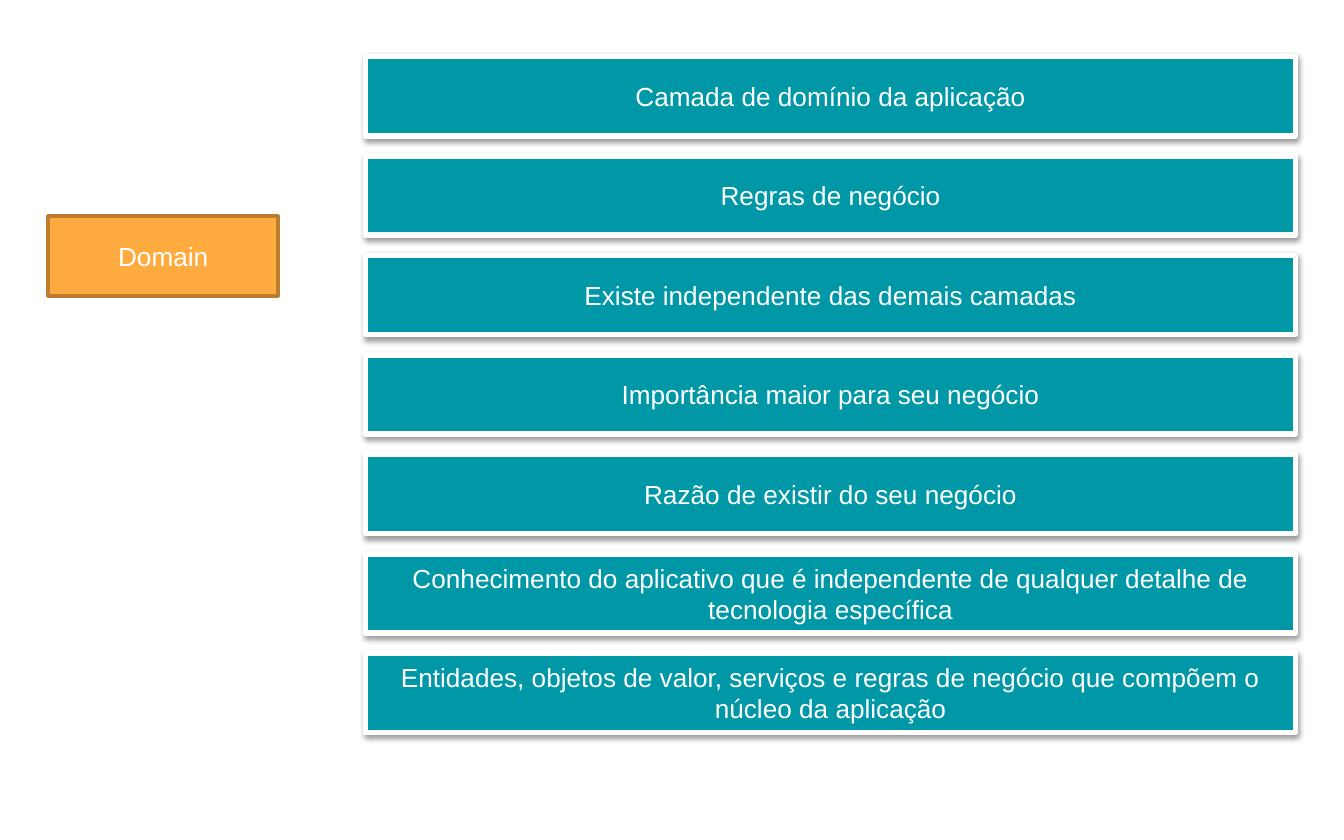
from lxml.etree import SubElement
from pptx import Presentation
from pptx.dml.color import RGBColor
from pptx.enum.shapes import MSO_SHAPE
from pptx.enum.text import MSO_ANCHOR, PP_ALIGN
from pptx.oxml.ns import qn
from pptx.util import Inches, Pt

WHITE, TEAL, ORANGE, BROWN = "FFFFFF", "0097A7", "FFAB40", "BD7F2F"
TEXT_FORMAT = {"name": "Arial", "size": Pt(14)}
BOX_HEIGHT = 0.59
ROW_PITCH = 0.74
POINTS = [
    "Camada de domínio da aplicação",
    "Regras de negócio",
    "Existe independente das demais camadas",
    "Importância maior para seu negócio",
    "Razão de existir do seu negócio",
    "Conhecimento do aplicativo que é independente de qualquer detalhe de tecnologia específica",
    "Entidades, objetos de valor, serviços e regras de negócio que compõem o núcleo da aplicação",
]


def color(hex_value):
    return RGBColor.from_string(hex_value)


def add_box(page, area, text, fill, line, weight):
    """Add a filled rectangle with centred white text."""
    box = page.shapes.add_shape(MSO_SHAPE.RECTANGLE, *map(Inches, area))
    box.shadow.inherit = False
    box.fill.solid()
    box.fill.fore_color.rgb = color(fill)
    box.line.color.rgb = color(line)
    box.line.width = Pt(weight)
    frame = box.text_frame
    frame.word_wrap = True
    frame.vertical_anchor = MSO_ANCHOR.MIDDLE
    para = frame.paragraphs[0]
    para.alignment = PP_ALIGN.CENTER
    span = para.add_run()
    span.text = text
    for name, value in TEXT_FORMAT.items():
        setattr(span.font, name, value)
    span.font.color.rgb = color(WHITE)
    return box


def add_shadow(box):
    """Add a soft black shadow just below the box."""
    effects = box.element.spPr.find(qn("a:effectLst"))
    shadow = SubElement(effects, qn("a:outerShdw"), blurRad=str(Pt(3.1)),
                        dist=str(Pt(1.6)), dir="5400000", rotWithShape="0")
    black = SubElement(shadow, qn("a:srgbClr"), val="000000")
    SubElement(black, qn("a:alpha"), val="38000")


def add_layer_label(page, area):
    add_box(page, area, "Domain", ORANGE, BROWN, 2)


def add_points(page, left, top, width):
    for row, text in enumerate(POINTS):
        area = (left, top + row * ROW_PITCH, width, BOX_HEIGHT)
        add_shadow(add_box(page, area, text, TEAL, WHITE, 3))


def main():
    deck = Presentation()
    deck.slide_width, deck.slide_height = Inches(10), Inches(6.25)
    page = deck.slides.add_slide(deck.slide_layouts[6])

    # Layer name on the left, its traits on the right
    add_layer_label(page, (0.36, 1.61, 1.71, BOX_HEIGHT))
    add_points(page, 2.72, 0.42, 6.92)

    deck.save("out.pptx")


if __name__ == "__main__":
    main()
